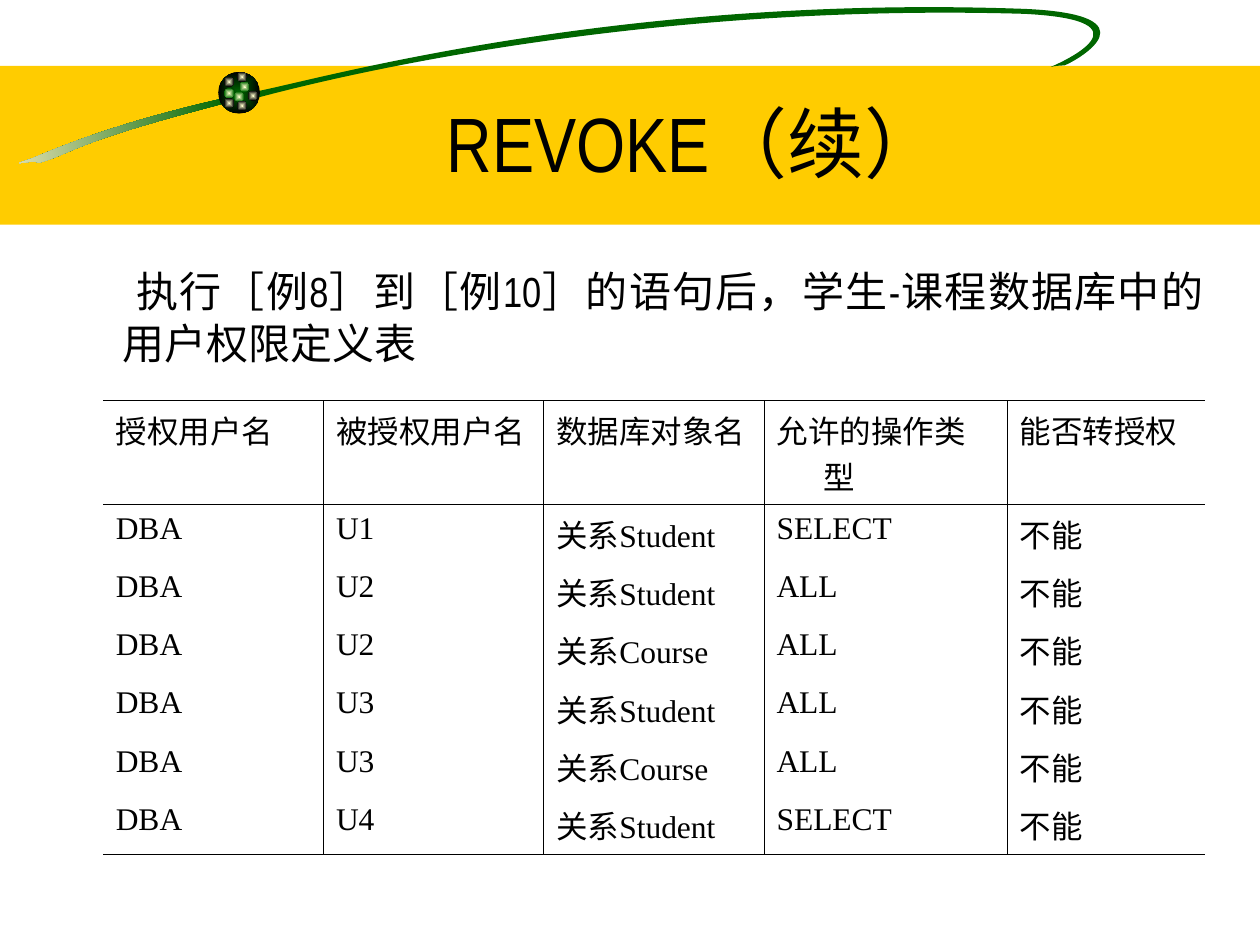
import math
from dataclasses import dataclass

from lxml import etree
from pptx import Presentation, util as u
from pptx.dml.color import RGBColor
from pptx.enum import shapes, text
from pptx.oxml import ns, parse_xml
from pptx.util import Cm


@dataclass(frozen=True)
class Theme:
    ink: str = "000000"
    paper: str = "FFFFFF"
    band: str = "FFCC00"
    green: str = "006600"
    cream: str = "F5EBC1"
    glow: str = "FFFFCC"
    heading_font: str = "Arial Narrow"
    table_font: str = "Times New Roman"
    title_size: int = 44
    lead_size: int = 28
    body_size: int = 24
    table_size: int = 18
    border: float = 0.45


theme = Theme()


def add_run(paragraph, words, font, size):
    run = paragraph.add_run()
    run.text = words
    run.font.name = font
    run.font.size = u.Pt(size)
    run.font.bold = False
    run.font.color.rgb = RGBColor.from_string(theme.ink)


def paint(shape, first, last=None, radial=False):
    shape.shadow.inherit = False
    shape.line.fill.background()
    if last is None:
        shape.fill.solid()
        shape.fill.fore_color.rgb = RGBColor.from_string(first)
        return
    shape.fill.gradient()
    shape.fill.gradient_angle = 180
    for stop, color, position in zip(shape.fill.gradient_stops, (first, last), (0, 1)):
        stop.color.rgb = RGBColor.from_string(color)
        stop.position = position
    if radial:
        linear = shape._element.spPr.find(".//" + ns.qn("a:lin"))
        linear.getparent().replace(linear, parse_xml(
            f'<a:path {ns.nsdecls("a")} path="rect">'
            '<a:fillToRect l="50000" t="50000" r="50000" b="50000"/></a:path>'))


presentation = Presentation()
presentation.slide_width, presentation.slide_height = Cm(25.4), Cm(19.05)
slide = presentation.slides.add_slide(presentation.slide_layouts[1])
title, body = slide.placeholders

band = slide.shapes.add_shape(
    shapes.MSO_SHAPE.RECTANGLE, 0, Cm(1.33), Cm(25.4), Cm(3.2))
paint(band, theme.band)

comet_tail = [
    (4.52, 1.98),
    [(2.31, 2.49), (1.24, 2.95), (0.64, 3.2)],
    [(0.03, 3.4), (0.66, 3.2), (0.79, 3.28)],
    [(1.45, 3.1), (1.45, 2.87), (4.55, 2.08)],
    [(4.55, 2.08), (4.52, 1.98), (4.52, 1.98)],
]
orbit = [
    (5.13, 1.85),
    [(6.25, 1.65), (12.34, -0.13), (20.68, 0.18)],
    [(23.29, 0.3), (21.77, 1.19), (21.46, 1.32)],
    [(21.46, 1.32), (21.28, 1.32), (21.18, 1.35)],
    [(21.44, 1.24), (23.27, 0.41), (20.65, 0.28)],
    [(13.92, 0.08), (8.13, 1.19), (5.23, 1.96)],
    [(5.23, 1.96), (5.13, 1.85), (5.13, 1.85)],
]
tilt = 8.5
cosine, sine = math.cos(math.radians(tilt)), math.sin(math.radians(tilt))
for (start, *curves), (left, top, width, height), colors in [
    (comet_tail, (-0.08, 2.31, 4.67, 0.76), (theme.green, theme.cream)),
    (orbit, (5.11, -0.38, 18.19, 2.77), (theme.green,)),
]:
    points = []
    for x, y in [start, *sum(curves, [])]:
        dx, dy = x - left - width / 2, y - top - height / 2
        points.append((Cm(width / 2 + dx * cosine - dy * sine),
                       Cm(height / 2 + dx * sine + dy * cosine)))
    builder = slide.shapes.build_freeform(*points[0])
    builder.add_line_segments(points[3::3], close=True)
    ribbon = builder.convert_to_shape()
    ribbon.left, ribbon.top, ribbon.width, ribbon.height = map(
        Cm, (left, top, width, height))
    ribbon.rotation = -tilt
    outline = ribbon._element.spPr.find(".//" + ns.qn("a:path"))
    outline.set("w", str(Cm(width)))
    outline.set("h", str(Cm(height)))
    for child in list(outline):
        outline.remove(child)
    for first in [0, *range(1, len(points), 3)]:
        command = etree.SubElement(outline, ns.qn("a:cubicBezTo" if first else "a:moveTo"))
        for x, y in points[first:first + 3] if first else points[:1]:
            etree.SubElement(command, ns.qn("a:pt"), x=str(x), y=str(y))
    etree.SubElement(outline, ns.qn("a:close"))
    paint(ribbon, *colors)

for left, top, size, center, edge in [
    (4.4, 1.45, 0.84, theme.green, theme.ink),
    (4.83, 1.65, 0.2, theme.glow, theme.green),
    (4.52, 1.55, 0.2, theme.glow, theme.ink),
    (4.52, 1.78, 0.2, theme.glow, theme.green),
    (4.72, 1.85, 0.2, theme.glow, theme.green),
    (5.0, 1.83, 0.2, theme.glow, theme.ink),
    (4.78, 2.03, 0.2, theme.glow, theme.ink),
    (4.52, 1.98, 0.2, theme.glow, theme.ink),
    (4.78, 1.45, 0.2, theme.glow, theme.ink),
]:
    ball = slide.shapes.add_shape(
        shapes.MSO_SHAPE.OVAL, Cm(left), Cm(top), Cm(size), Cm(size))
    paint(ball, center, edge, radial=True)

veil = slide.shapes.add_shape(
    shapes.MSO_SHAPE.RECTANGLE, Cm(1.88), Cm(5.23), Cm(3.1), Cm(13.82))
paint(veil, theme.paper)
veil_color = veil._element.spPr.find(ns.qn("a:solidFill"))[0]
etree.SubElement(veil_color, ns.qn("a:alpha"), val="50000")

for placeholder, box, anchor, alignment, runs in [
    (title, (3.2, 1.27, 21.59, 3.18), text.MSO_ANCHOR.MIDDLE, text.PP_ALIGN.CENTER,
     [("REVOKE（续）", theme.title_size)]),
    (body, (1.27, 5.08, 23.24, 3.05), text.MSO_ANCHOR.TOP, text.PP_ALIGN.JUSTIFY,
     [(" ", theme.lead_size),
      ("执行［例8］到［例10］的语句后，学生-课程数据库中的用户权限定义表",
       theme.body_size)]),
]:
    slide.shapes._spTree.append(placeholder._element)
    placeholder.left, placeholder.top, placeholder.width, placeholder.height = map(Cm, box)
    frame = placeholder.text_frame
    frame.auto_size = text.MSO_AUTO_SIZE.NONE
    frame.word_wrap = True
    frame.vertical_anchor = anchor
    paragraph = frame.paragraphs[0]
    paragraph.alignment = alignment
    for words, size in runs:
        add_run(paragraph, words, theme.heading_font, size)

paragraph = body.text_frame.paragraphs[0]
paragraph.space_before = u.Pt(6)
properties = paragraph._p.get_or_add_pPr()
properties.set("marL", str(Cm(0.95)))
properties.set("indent", "0")
etree.SubElement(properties, ns.qn("a:buNone"))

rows = [("授权用户名", "被授权用户名", "数据库对象名", "允许的操作类型", "能否转授权")]
rows += [("DBA", user, "关系" + relation, action, "不能") for user, relation, action in [
    ("U1", "Student", "SELECT"),
    ("U2", "Student", "ALL"),
    ("U2", "Course", "ALL"),
    ("U3", "Student", "ALL"),
    ("U3", "Course", "ALL"),
    ("U4", "Student", "SELECT"),
]]
column_widths = [4.44, 4.44, 4.44, 4.9, 4.0]
row_heights = [1.78] + [1.02] * 6
table = slide.shapes.add_table(
    len(rows), len(column_widths), Cm(2.08), Cm(8.08),
    Cm(sum(column_widths)), Cm(sum(row_heights))).table
table.first_row = table.horz_banding = False
for column, width in zip(table.columns, column_widths):
    column.width = Cm(width)
for row, height in zip(table.rows, row_heights):
    row.height = Cm(height)

last_row, last_column = len(rows) - 1, len(column_widths) - 1
for r, values in enumerate(rows):
    for c, value in enumerate(values):
        cell = table.cell(r, c)
        cell.fill.background()
        paragraph = cell.text_frame.paragraphs[0]
        properties = paragraph._p.get_or_add_pPr()
        properties.set("marL", str(Cm(0.95)))
        properties.set("indent", str(Cm(-0.95)))
        add_run(paragraph, value, theme.table_font, theme.table_size)
        borders = {"L": c > 0, "R": c < last_column, "T": r < 2, "B": r in (0, last_row)}
        for position, (side, drawn) in enumerate(borders.items()):
            fill = (f'<a:solidFill><a:srgbClr val="{theme.ink}"/></a:solidFill>'
                    if drawn else "<a:noFill/>")
            cell._tc.get_or_add_tcPr().insert(position, parse_xml(
                f'<a:ln{side} {ns.nsdecls("a")} w="{u.Pt(theme.border)}">{fill}</a:ln{side}>'))

presentation.save("out.pptx")
